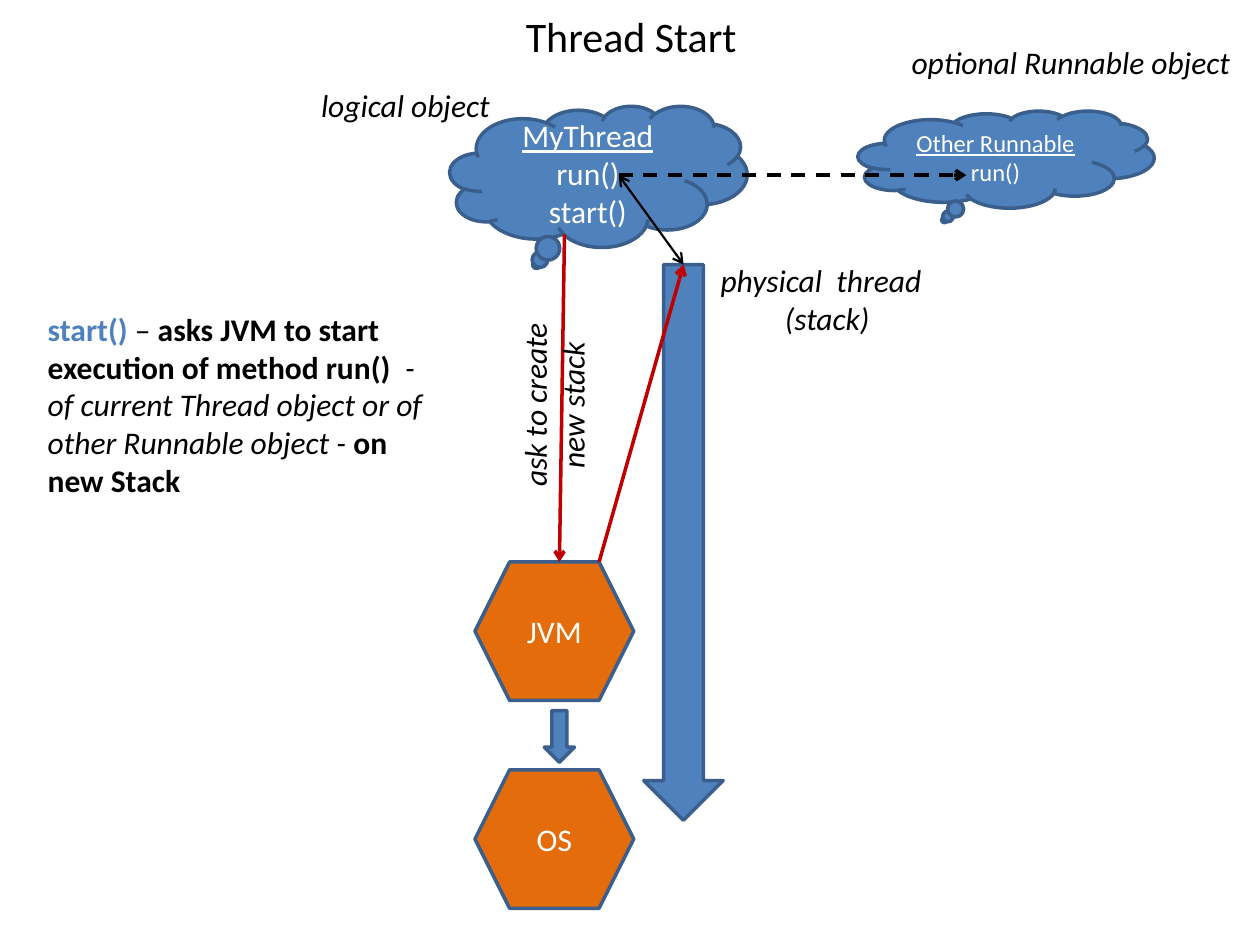
import pptx
import pptx.util
import pptx.dml.color
import pptx.enum.dml
import pptx.enum.shapes
import pptx.enum.text
import pptx.oxml
import pptx.oxml.ns

KIND = pptx.enum.shapes.MSO_SHAPE
CENTER = pptx.enum.text.PP_ALIGN.CENTER
LEFT = pptx.enum.text.PP_ALIGN.LEFT
MIDDLE = pptx.enum.text.MSO_ANCHOR.MIDDLE
TOP = pptx.enum.text.MSO_ANCHOR.TOP
INCH = pptx.util.Inches

BLUE, EDGE, ORANGE, RED = "4F81BD", "3A5F8C", "E46C0A", "C00000"
BLACK, WHITE = "000000", "FFFFFF"

STACK = (5.11, 2.1, 0.63, 4.41)
STACK_TOP = (STACK[0] + STACK[2] / 2, STACK[1])
JVM = (3.77, 4.46, 1.26, 1.1)
OS = (JVM[0], 6.11, JVM[2], JVM[3])
JVM_TOP = (4.44, JVM[1])
JVM_CORNER = (JVM[0] + JVM[2] - JVM[3] / 4, JVM[1])
RUN = (4.91, 1.39)

SHAPES = [
    (KIND.DOWN_ARROW, STACK, BLUE, 18, []),
    (KIND.CLOUD_CALLOUT, (3.57, 0.84, 2.36, 1.12), BLUE, 18,
     [[("MyThread", "u")], [("run()", "")], [("start()", "")]]),
    (KIND.HEXAGON, JVM, ORANGE, 18, [[("JVM", "")]]),
    (KIND.CLOUD_CALLOUT, (6.81, 0.88, 2.35, 0.77), BLUE, 14,
     [[("Other Runnable", "u")], [("run()", "")]]),
    (KIND.HEXAGON, OS, ORANGE, 18, [[("OS", "")]]),
    (KIND.DOWN_ARROW, (4.32, 5.64, 0.24, 0.41), BLUE, 18, []),
]

ARROWS = [
    ((4.48, 1.86), JVM_TOP, RED, 2, False, ["tailEnd"]),
    (JVM_CORNER, STACK_TOP, RED, 2, False, ["tailEnd"]),
    (RUN, (7.67, RUN[1]), BLACK, 2, True, ["tailEnd"]),
    (RUN, STACK_TOP, BLACK, 1.25, False, ["headEnd", "tailEnd"]),
]

EXPLANATION = [
    ("start() ", "b", BLUE),
    ("\u2013 ", ""),
    ("asks JVM to start execution of method run()  ", "b"),
    ("- of current Thread object or of other Runnable object - ", "i"),
    ("on new Stack", "b"),
]

TEXTS = [
    ((0.51, 0.05, 9, 0.46), 24, MIDDLE, 0, [CENTER], [[("Thread Start", "")]]),
    ((0.28, 2.41, 3.31, 1.62), 18, TOP, 0, [LEFT], [EXPLANATION]),
    ((2.45, 0.63, 2.13, 0.4), 18, TOP, 0, [LEFT], [[("logical object", "i")]]),
    ((5.62, 2.02, 1.89, 0.71), 18, TOP, 0, [LEFT, CENTER],
     [[("physical  thread", "i")], [("(stack)", "i")]]),
    ((6.96, 0.29, 3.08, 0.4), 18, TOP, 0, [CENTER], [[("optional Runnable object", "i")]]),
    ((3.45, 2.86, 1.89, 0.71), 18, TOP, 270, [CENTER], [[("ask to create new stack", "i")]]),
]


def color(value):
    return pptx.dml.color.RGBColor.from_string(value)


def write(shape, paragraphs, size, default, anchor, alignments):
    frame = shape.text_frame
    frame.word_wrap = True
    frame.vertical_anchor = anchor
    for index, (spans, alignment) in enumerate(zip(paragraphs, alignments)):
        para = frame.add_paragraph() if index else frame.paragraphs[0]
        para.alignment = alignment
        for text, style, *tint in spans:
            span = para.add_run()
            span.text = text
            font = span.font
            font.name = "Calibri"
            font.size = pptx.util.Pt(size)
            font.bold = "b" in style
            font.italic = "i" in style
            font.underline = "u" in style
            font.color.rgb = color(tint[0] if tint else default)


def add_node(page, kind, place, fill, size, paragraphs):
    shape = page.shapes.add_shape(kind, *map(INCH, place))
    shape.shadow.inherit = False
    shape.fill.solid()
    shape.fill.fore_color.rgb = color(fill)
    shape.line.color.rgb = color(EDGE)
    shape.line.width = pptx.util.Pt(2)
    write(shape, paragraphs, size, WHITE, MIDDLE, [CENTER] * len(paragraphs))


def add_arrow(page, start, end, tint, width, dashed, ends):
    straight = pptx.enum.shapes.MSO_CONNECTOR.STRAIGHT
    arrow = page.shapes.add_connector(straight, *map(INCH, start + end))
    arrow.line.color.rgb = color(tint)
    arrow.line.width = pptx.util.Pt(width)
    if dashed:
        arrow.line.dash_style = pptx.enum.dml.MSO_LINE.DASH
    outline = arrow.line._get_or_add_ln()
    for name in ends:
        tip = pptx.oxml.parse_xml(f'<a:{name} {pptx.oxml.ns.nsdecls("a")} type="arrow"/>')
        outline.append(tip)
    effects = pptx.oxml.parse_xml(f'<a:effectLst {pptx.oxml.ns.nsdecls("a")}/>')
    arrow._element.spPr.append(effects)


def add_text(page, place, size, anchor, rotation, alignments, paragraphs):
    box = page.shapes.add_textbox(*map(INCH, place))
    box.rotation = rotation
    write(box, paragraphs, size, BLACK, anchor, alignments)


deck = pptx.Presentation()
deck.slide_width, deck.slide_height = INCH(10), INCH(7.5)
page = deck.slides.add_slide(deck.slide_layouts[6])
for node in SHAPES:
    add_node(page, *node)
for arrow in ARROWS:
    add_arrow(page, *arrow)
for text in TEXTS:
    add_text(page, *text)
deck.save("out.pptx")
